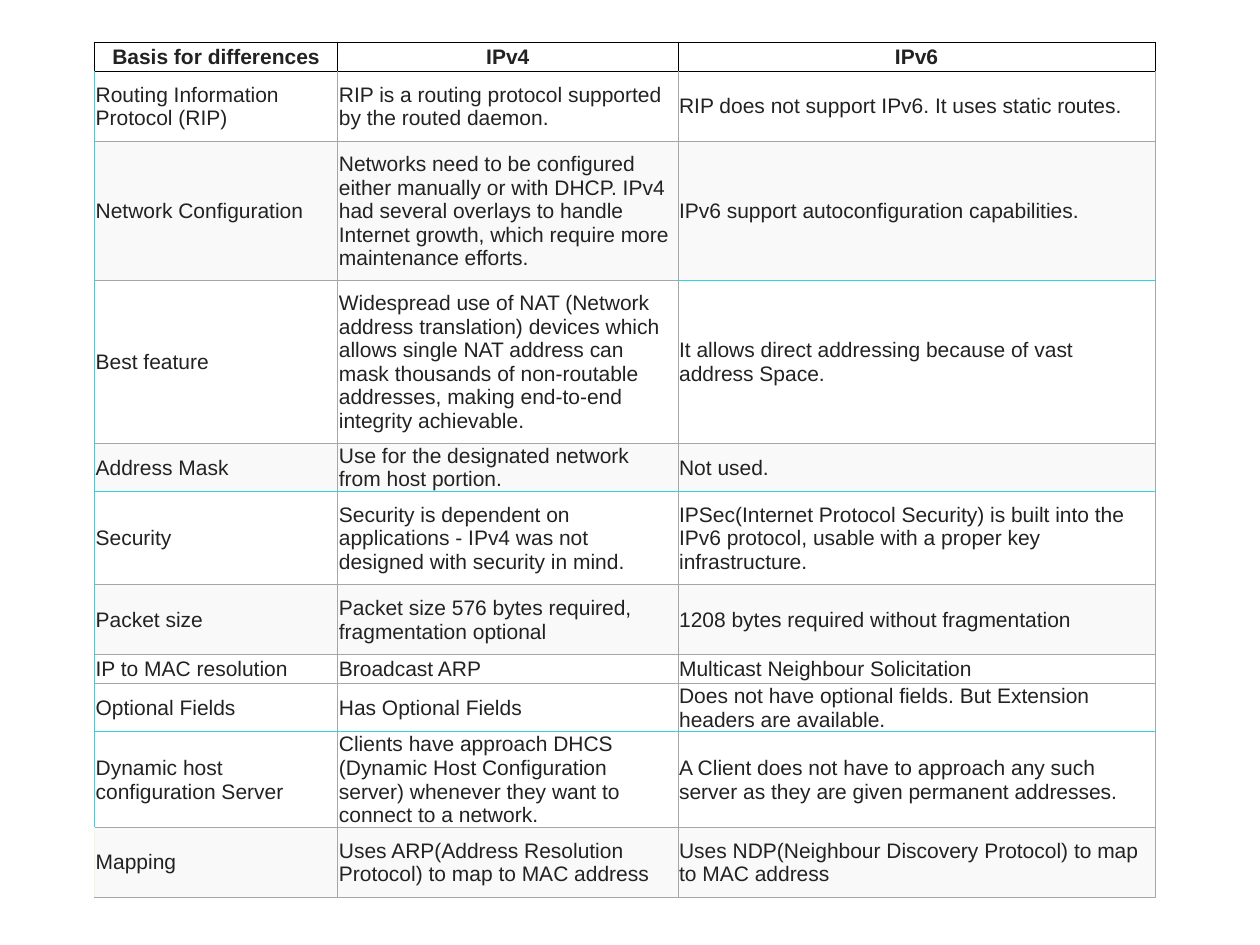
"""Build a slide with a table comparing IPv4 and IPv6."""
from pptx import Presentation
from pptx.dml.color import RGBColor
from pptx.enum.text import MSO_ANCHOR, PP_ALIGN
from pptx.oxml.ns import qn
from pptx.util import Pt
from lxml.etree import SubElement

BLACK = RGBColor(0x00, 0x00, 0x00)
INK = RGBColor(0x22, 0x22, 0x22)
WHITE = RGBColor(0xFF, 0xFF, 0xFF)
PALE = RGBColor(0xF9, 0xF9, 0xF9)
GREY = RGBColor(0xA6, 0xA6, 0xA6)
CYAN = RGBColor(0x30, 0xD3, 0xE1)
CREAM = RGBColor(0xF0, 0xF7, 0xE0)

ROWS = [
    (16.6, WHITE, "Basis for differences", "IPv4", "IPv6"),
    (40, WHITE, "Routing Information Protocol (RIP)",
     "RIP is a routing protocol supported by the routed daemon.",
     "RIP does not support IPv6. It uses static routes."),
    (79.6, PALE, "Network Configuration",
     "Networks need to be configured either manually or with DHCP. IPv4 had several "
     "overlays to handle Internet growth, which require more maintenance efforts.",
     "IPv6 support autoconfiguration capabilities."),
    (93, WHITE, "Best feature",
     "Widespread use of NAT (Network address translation) devices which allows single NAT "
     "address can mask thousands of non-routable addresses, making end-to-end integrity "
     "achievable.",
     "It allows direct addressing because of vast address Space."),
    (26.6, PALE, "Address Mask",
     "Use for the designated network from host portion.", "Not used."),
    (53.2, WHITE, "Security",
     "Security is dependent on applications - IPv4 was not designed with security in mind.",
     "IPSec(Internet Protocol Security) is built into the IPv6 protocol, usable with a "
     "proper key infrastructure."),
    (40, PALE, "Packet size",
     "Packet size 576 bytes required, fragmentation optional",
     "1208 bytes required without fragmentation"),
    (16.6, WHITE, "IP to MAC resolution", "Broadcast ARP",
     "Multicast Neighbour Solicitation"),
    (26.6, WHITE, "Optional Fields", "Has Optional Fields",
     "Does not have optional fields. But Extension headers are available."),
    (53.2, WHITE, "Dynamic host configuration Server",
     "Clients have approach DHCS (Dynamic Host Configuration server) whenever they want to "
     "connect to a network.",
     "A Client does not have to approach any such server as they are given permanent "
     "addresses."),
    (40, PALE, "Mapping",
     "Uses ARP(Address Resolution Protocol) to map to MAC address",
     "Uses NDP(Neighbour Discovery Protocol) to map to MAC address"),
]
WIDTHS = [139, 194.4, 272.8]
LAST = len(ROWS) - 1


def rule(row, col):
    """Return the colour of the line above a cell."""
    if row < 2:
        return BLACK
    return CYAN if row in (5, 9) or (row, col) == (3, 2) else GREY


def edge(cell, side, color):
    """Draw one border of a cell."""
    line = SubElement(cell._tc.get_or_add_tcPr(), qn(f"a:ln{side}"), w=str(Pt(0.5)))
    fill = SubElement(line, qn("a:solidFill"))
    SubElement(fill, qn("a:srgbClr"), val=str(color))


deck = Presentation()
deck.slide_width, deck.slide_height = Pt(720), Pt(540)
slide = deck.slides.add_slide(deck.slide_layouts[6])
high = sum(row[0] for row in ROWS)
frame = slide.shapes.add_table(len(ROWS), len(WIDTHS), Pt(54), Pt(24),
                               Pt(sum(WIDTHS)), Pt(high))
table = frame.table
table.horz_banding = False
for column, width in zip(table.columns, WIDTHS):
    column.width = Pt(width)

for r, (height, shade, *texts) in enumerate(ROWS):
    table.rows[r].height = Pt(height)
    head = r == 0
    left = BLACK if head else CREAM if r == LAST else CYAN
    inner = BLACK if head else GREY
    for c, text in enumerate(texts):
        cell = table.cell(r, c)
        cell.margin_left = cell.margin_right = cell.margin_top = Pt(0.7)
        cell.margin_bottom = Pt(0)
        cell.vertical_anchor = MSO_ANCHOR.MIDDLE
        edge(cell, "L", inner if c else left)
        edge(cell, "R", inner)
        edge(cell, "T", rule(r, c))
        edge(cell, "B", rule(r + 1, c))
        cell.fill.solid()
        cell.fill.fore_color.rgb = shade
        para = cell.text_frame.paragraphs[0]
        para.alignment = PP_ALIGN.CENTER if head else PP_ALIGN.LEFT
        run = para.add_run()
        run.text = text
        run.font.name = "Arial"
        run.font.size = Pt(12)
        run.font.bold = head
        run.font.color.rgb = INK

deck.save("out.pptx")
